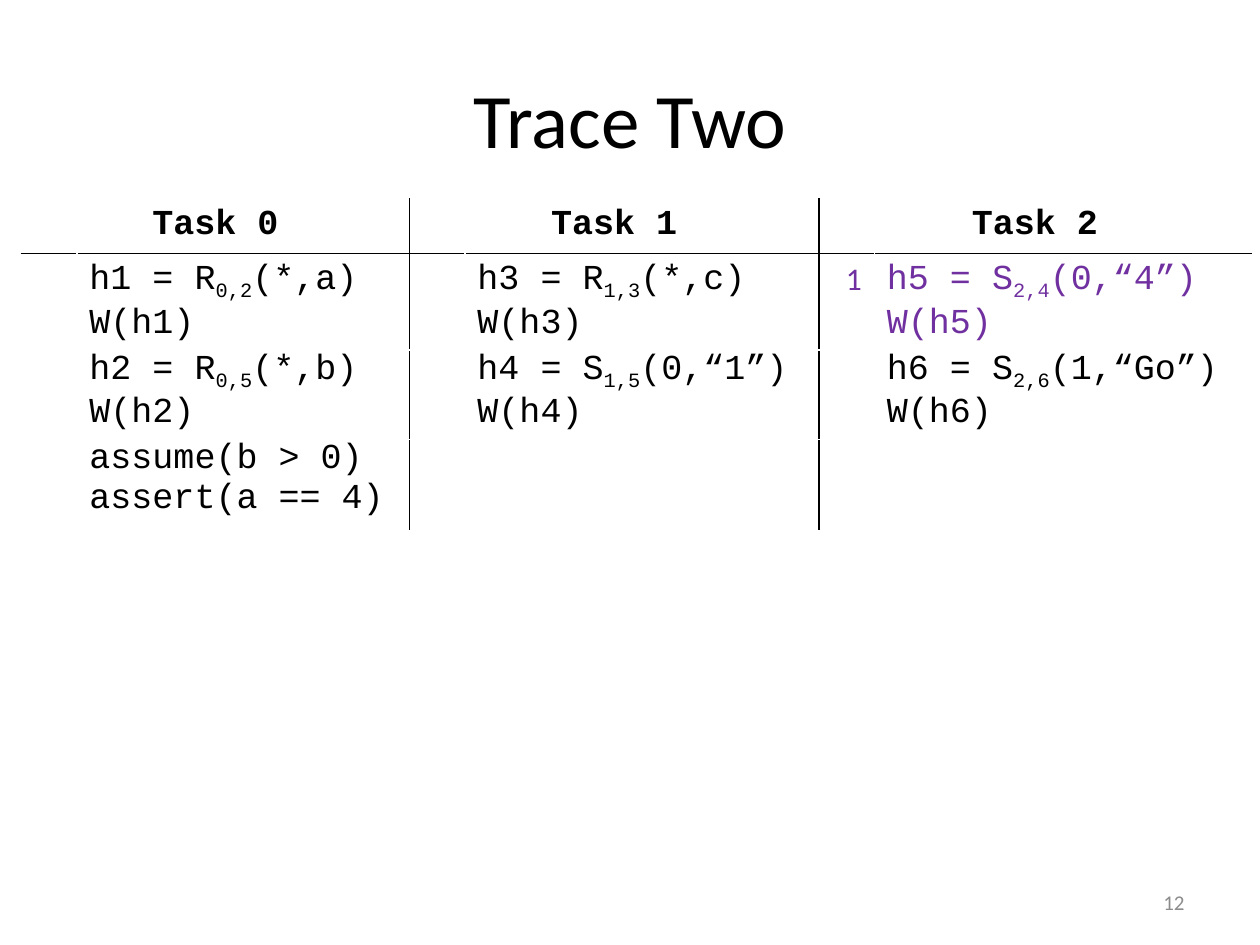
from dataclasses import dataclass
from lxml.etree import SubElement
from pptx import Presentation
from pptx.dml.color import RGBColor as RGB
from pptx.enum.text import MSO_ANCHOR as ANCHOR, PP_ALIGN as ALIGN
from pptx.oxml.ns import qn
from pptx.util import Inches, Pt


@dataclass(frozen=True)
class Theme:
    sans: str = "Calibri"
    mono: str = "Courier New"
    black: str = "000000"
    white: str = "FFFFFF"
    purple: str = "7030A0"
    grey: str = "8C8C8C"
    title: int = 44
    code: int = 20
    step: int = 18
    number: int = 12
    rule: int = 1


T = Theme()


def write(tf, text, font=T.mono, size=T.code, color=T.black, bold=False,
          align=ALIGN.LEFT):
    """Write lines of text; parts between underscores are subscripts."""
    for i, line in enumerate(text.split("\n")):
        p = tf.paragraphs[0] if i == 0 else tf.add_paragraph()
        p.alignment = align
        for j, part in enumerate(line.split("_")):
            r = p.add_run()
            r.text = part
            r.font.name, r.font.size, r.font.bold = font, Pt(size), bold
            r.font.color.rgb = RGB.from_string(color)
            if j % 2:
                r.font._element.set("baseline", "-25000")


def add_borders(cell, sides):
    """Draw rules on the given sides, named in the schema's order L, R, T, B."""
    tcPr = cell._tc.get_or_add_tcPr()
    for i, side in enumerate(sides):
        ln = SubElement(tcPr, qn(f"a:ln{side}"), w=str(Pt(T.rule)))
        fill = SubElement(ln, qn("a:solidFill"))
        SubElement(fill, qn("a:srgbClr"), val=T.black)
        tcPr.insert(i, ln)


prs = Presentation()
prs.slide_width, prs.slide_height = Inches(10), Inches(7.5)
W, H = prs.slide_width, prs.slide_height
slide = prs.slides.add_slide(prs.slide_layouts[6])

# Title and slide number
labels = [
    ("Trace Two", (0.05, 0.04, 0.9, 0.17), T.title, T.black, ALIGN.CENTER),
    ("12", (0.72, 0.93, 0.23, 0.05), T.number, T.grey, ALIGN.RIGHT),
]
for text, (x, y, w, h), size, color, align in labels:
    sp = slide.shapes.add_textbox(int(x * W), int(y * H), int(w * W), int(h * H))
    tf = sp.text_frame
    tf.word_wrap, tf.vertical_anchor = True, ANCHOR.MIDDLE
    write(tf, text, font=T.sans, size=size, color=color, align=align)

# Each task takes a narrow step column and a wide code column
tasks = [
    ("Task 0", ["h1 = R_0,2_(*,a)\nW(h1)", "h2 = R_0,5_(*,b)\nW(h2)",
                "assume(b > 0)\nassert(a == 4)"]),
    ("Task 1", ["h3 = R_1,3_(*,c)\nW(h3)", "h4 = S_1,5_(0,“1”)\nW(h4)", ""]),
    ("Task 2", ["h5 = S_2,4_(0,“4”)\nW(h5)", "h6 = S_2,6_(1,“Go”)\nW(h6)", ""]),
]
steps = {(1, 4): "1"}
col_widths = [0.44, 2.64, 0.44, 2.81, 0.44, 2.99]
row_heights = [0.41, 0.7, 0.66, 0.72]
n_rows, n_cols = len(row_heights), len(col_widths)

frame = slide.shapes.add_table(n_rows, n_cols, Inches(0.17), Inches(1.58),
                               Inches(sum(col_widths)), Inches(sum(row_heights)))
table = frame.table
table.first_row = table.horz_banding = False
for column, width in zip(table.columns, col_widths):
    column.width = Inches(width)
for row, height in zip(table.rows, row_heights):
    row.height = Inches(height)

# Fills, insets and the rules between tasks and below the header
for r in range(n_rows):
    for c in range(n_cols):
        cell = table.cell(r, c)
        cell.fill.solid()
        cell.fill.fore_color.rgb = RGB.from_string(T.white)
        if r:
            cell.margin_top = Inches(0.05 if r == 1 else 0)
            cell.margin_bottom = 0
        sides = []
        if c % 2 == 0 and c > 0:
            sides.append("L")
        if c % 2 == 1 and c < n_cols - 1 or r == 0 and c in (0, 2):
            sides.append("R")
        if r == 1:
            sides.append("T")
        if r == 0:
            sides.append("B")
        add_borders(cell, sides)

# Task names and their code
for t, (name, blocks) in enumerate(tasks):
    head = table.cell(0, 2 * t)
    head.merge(table.cell(0, 2 * t + 1))
    write(head.text_frame, name, bold=True, align=ALIGN.CENTER)
    for r, block in enumerate(blocks, start=1):
        step = steps.get((r, 2 * t))
        color = T.purple if step else T.black
        if step:
            write(table.cell(r, 2 * t).text_frame, step, font=T.sans,
                  size=T.step, color=color, align=ALIGN.RIGHT)
        if block:
            write(table.cell(r, 2 * t + 1).text_frame, block, color=color)

prs.save("out.pptx")
